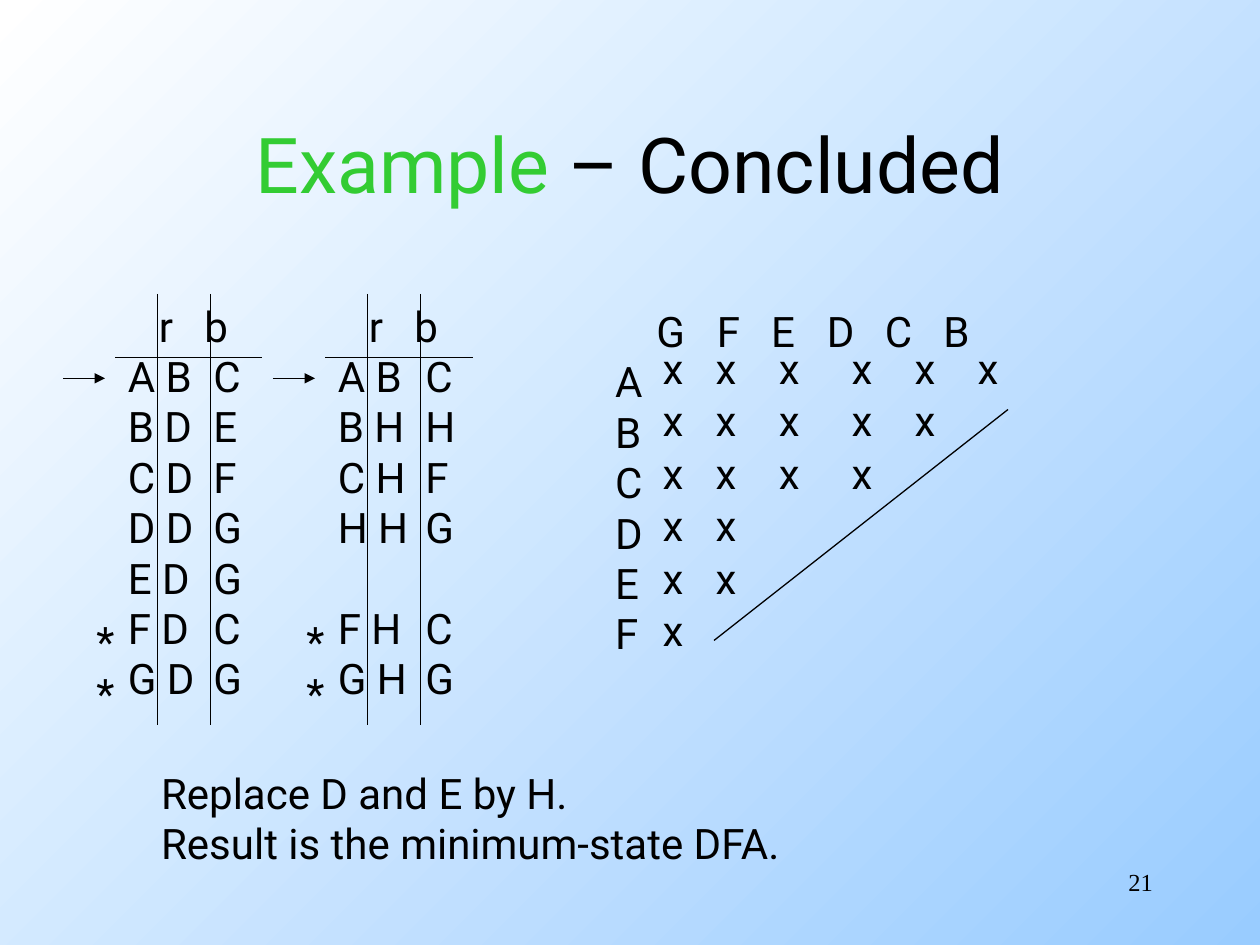
from lxml.etree import SubElement
from pptx import Presentation
from pptx.dml.color import RGBColor
from pptx.enum.shapes import MSO_CONNECTOR
from pptx.enum.text import MSO_ANCHOR, MSO_AUTO_SIZE, PP_ALIGN
from pptx.oxml.ns import qn
from pptx.util import Pt

HUES = {"ink": "000000", "green": "33CC33", "sky": "99CCFF", "white": "FFFFFF"}
FONT = "Roboto"
STEP = 28.8  # height of one text line
HEAD_TABS = (17.7, 43.7)
PAIR_TABS = (23.6, 58.2, 89.2, 121, 154.2, 187.6)


def add_run(para, text, size=24, hue="ink", font=FONT):
    run = para.add_run()
    run.text = text
    run.font.size = Pt(size)
    run.font.name = font
    run.font.color.rgb = RGBColor.from_string(HUES[hue])


def set_tabs(para, stops):
    tabs = SubElement(para._p.get_or_add_pPr(), qn("a:tabLst"))
    for stop in stops:
        SubElement(tabs, qn("a:tab"), pos=str(Pt(stop)), algn="l")


def add_text(shapes, box, lines, tabs=(), head=None, **style):
    """Add one paragraph per line; None leaves a gap one line high."""
    frame = shapes.add_textbox(*map(Pt, box)).text_frame
    frame.word_wrap = bool(tabs)
    frame.auto_size = MSO_AUTO_SIZE.SHAPE_TO_FIT_TEXT
    para, gap = frame.paragraphs[0], 0
    for num, line in enumerate(lines):
        if line is None:
            gap += STEP
            continue
        if num:
            para = frame.add_paragraph()
        if "\t" in line:
            set_tabs(para, head if head and num == 0 else tabs)
        if gap:
            para.space_before = Pt(gap)
            gap = 0
        add_run(para, line, **style)
    return frame


def add_line(shapes, start, end, arrow=False):
    line = shapes.add_connector(MSO_CONNECTOR.STRAIGHT, *map(Pt, start + end))
    line.line.width = Pt(0.75)
    line.line.color.rgb = RGBColor.from_string(HUES["ink"])
    if arrow:
        SubElement(line.line._get_or_add_ln(), qn("a:tailEnd"), type="triangle")
    SubElement(line._element.spPr, qn("a:effectLst"))


def add_states(slide, left, stop, rows):
    """Draw a transition table with its rules, start arrow and final stars."""
    shapes = slide.shapes.add_group_shape().shapes
    lines = ["\tr\tb"]
    lines += [row and f"{row[0]} {row[1]}\t{row[2]}" for row in rows]
    add_text(shapes, (left, 168, 86, 237.5), lines, (stop,), HEAD_TABS)
    for x in (left + 24, left + 54.2):
        add_line(shapes, (x, 168), (x, 414))
    add_line(shapes, (left, 204.2), (left + 84, 204.2))
    add_line(shapes, (left - 30, 216.2), (left - 6, 216.2), arrow=True)
    for top in (348, 378):
        add_text(shapes, (left - 18, top, 27, 36), ["*"])


def add_pairs(slide):
    """Draw the triangle of distinguishable state pairs."""
    shapes = slide.shapes
    lines = ["\t" + "\t".join("GFEDCB"), *"ABCDEF"]
    add_text(shapes, (344.4, 171, 225, 209), lines, PAIR_TABS)
    add_line(shapes, (408, 366), (576, 234))
    cols = (371.5, 401.8, 438, 479.5, 515.5, 551.5)
    for row, count in enumerate((6, 5, 4, 2, 2, 1)):
        for x in cols[:count]:
            add_text(shapes, (x, 192 + 30 * row, 26.5, 36), ["x"])


def add_title(slide):
    title = slide.shapes.title
    title.left, title.top, title.width, title.height = map(Pt, (54, 48, 612, 90))
    frame = title.text_frame
    frame.auto_size = MSO_AUTO_SIZE.NONE
    frame.vertical_anchor = MSO_ANCHOR.MIDDLE
    para = frame.paragraphs[0]
    para.alignment = PP_ALIGN.CENTER
    add_run(para, "Example", 44, "green")
    add_run(para, " – Concluded", 44)


def set_back(slide):
    fill = slide.background.fill
    fill.gradient()
    fill.gradient_angle = 135
    for stop, hue in zip(fill.gradient_stops, ("sky", "white")):
        stop.color.rgb = RGBColor.from_string(HUES[hue])


def main():
    deck = Presentation()
    deck.slide_width, deck.slide_height = Pt(720), Pt(540)
    slide = deck.slides.add_slide(deck.slide_layouts[5])
    set_back(slide)
    add_title(slide)

    # Transition tables before and after merging D and E
    add_states(slide, 66, 48.8,
               ["ABC", "BDE", "CDF", "DDG", "EDG", "FDC", "GDG"])
    add_states(slide, 186, 50,
               ["ABC", "BHH", "CHF", "HHG", None, "FHC", "GHG"])

    # Table of state pairs
    add_pairs(slide)

    # Conclusion
    add_text(slide.shapes, (85, 435, 388, 65),
             ["Replace D and E by H.", "Result is the minimum-state DFA."])

    # Slide number
    frame = add_text(slide.shapes, (516, 492, 150, 36), ["21"],
                     size=14, font="Times New Roman")
    frame.word_wrap = True
    frame.auto_size = MSO_AUTO_SIZE.NONE
    frame.paragraphs[0].alignment = PP_ALIGN.RIGHT

    deck.save("out.pptx")


if __name__ == "__main__":
    main()
